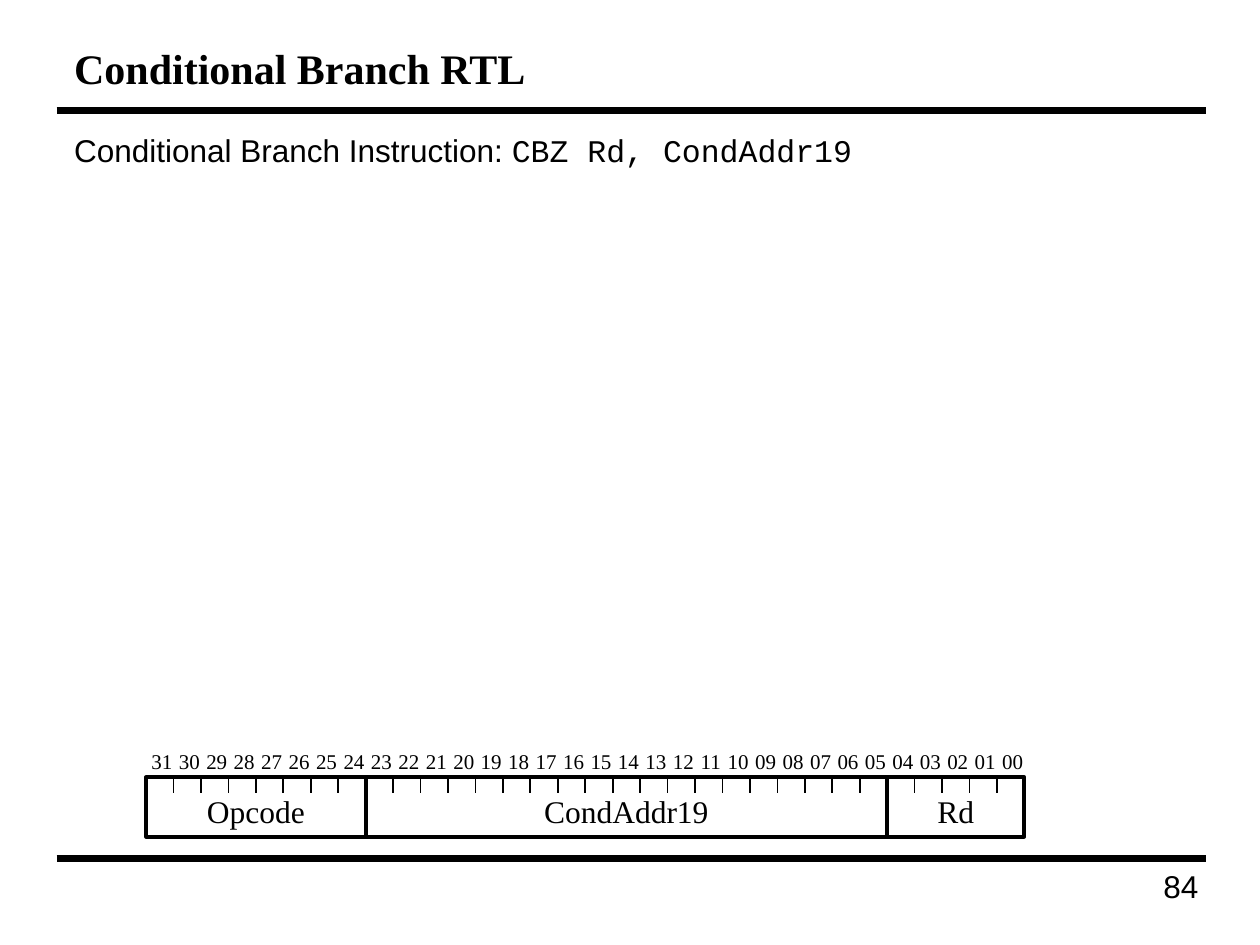
from lxml import etree
from pptx import Presentation
from pptx import util as u
from pptx.dml.color import RGBColor
from pptx.enum import shapes, text
from pptx.oxml.ns import qn

BLACK = RGBColor(0, 0, 0)
WHITE = RGBColor(255, 255, 255)
SERIF, SANS, MONO = "Times New Roman", "Arial", "Courier New"

presentation = Presentation()
presentation.slide_width, presentation.slide_height = u.Inches(10), u.Inches(7.5)
slide = presentation.slides.add_slide(presentation.slide_layouts[6])


def add_text(content, left, top, width, height, font=SERIF, size=18, bold=False,
             align=text.PP_ALIGN.LEFT, anchor=text.MSO_ANCHOR.TOP, wrap=True):
    """Add a text box; content is a string or a list of (string, font) runs."""
    box = slide.shapes.add_textbox(*map(u.Inches, (left, top, width, height)))
    frame = box.text_frame
    frame.word_wrap = wrap
    frame.vertical_anchor = anchor
    paragraph = frame.paragraphs[0]
    paragraph.alignment = align
    runs = [(content, font)] if isinstance(content, str) else content
    for words, run_font in runs:
        run = paragraph.add_run()
        run.text = words
        run.font.name = run_font
        run.font.size = u.Pt(size)
        run.font.bold = bold
        run.font.color.rgb = BLACK


def add_line(x1, y1, x2, y2, weight):
    line = slide.shapes.add_connector(
        shapes.MSO_CONNECTOR.STRAIGHT, *map(u.Inches, (x1, y1, x2, y2)))
    line.line.color.rgb = BLACK
    line.line.width = u.Pt(weight)
    etree.SubElement(line._element.spPr, qn("a:effectLst"))


# Header and footer rules
for rule_y in (0.88, 6.81):
    add_line(0.45, rule_y, 9.57, rule_y, 4)

# Title, instruction and page number
add_text("Conditional Branch RTL", 0.49, 0.25, 9.04, 0.58, size=24, bold=True,
         anchor=text.MSO_ANCHOR.MIDDLE)
add_text([("Conditional Branch Instruction: ", SANS), ("CBZ Rd, CondAddr19", MONO)],
         0.49, 0.99, 9.04, 5.76)
add_text("84", 7.56, 6.83, 2.05, 0.49, font=SANS, align=text.PP_ALIGN.RIGHT)

# Instruction word: a grid of 32 bit columns
BITS = 32
word_left, word_top, word_width, word_height = 1.16, 6.17, 6.97, 0.47
bit_width = word_width / BITS
word = slide.shapes.add_shape(
    shapes.MSO_SHAPE.RECTANGLE,
    *map(u.Inches, (word_left, word_top, word_width, word_height)))
word.shadow.inherit = False
word.fill.solid()
word.fill.fore_color.rgb = WHITE
word.line.color.rgb = BLACK
word.line.width = u.Pt(2.25)

# Bit ticks
for column in range(BITS + 1):
    tick_x = word_left + column * bit_width
    add_line(tick_x, word_top, tick_x, word_top + 0.12, 1)

# Bit numbers, highest first
for column in range(BITS):
    add_text(f"{BITS - 1 - column:02d}", word_left - 0.06 + column * bit_width, 5.89,
             0.37, 0.3, size=12, align=text.PP_ALIGN.CENTER, wrap=False)

# Fields and the dividers between them
first_bit = 0
for name, bits in (("Opcode", 8), ("CondAddr19", 19), ("Rd", 5)):
    field_left = word_left + first_bit * bit_width
    if first_bit:
        add_line(field_left, word_top, field_left, word_top + word_height, 2.25)
    add_text(name, field_left, 6.24, bits * bit_width, 0.4, align=text.PP_ALIGN.CENTER)
    first_bit += bits

presentation.save("out.pptx")
